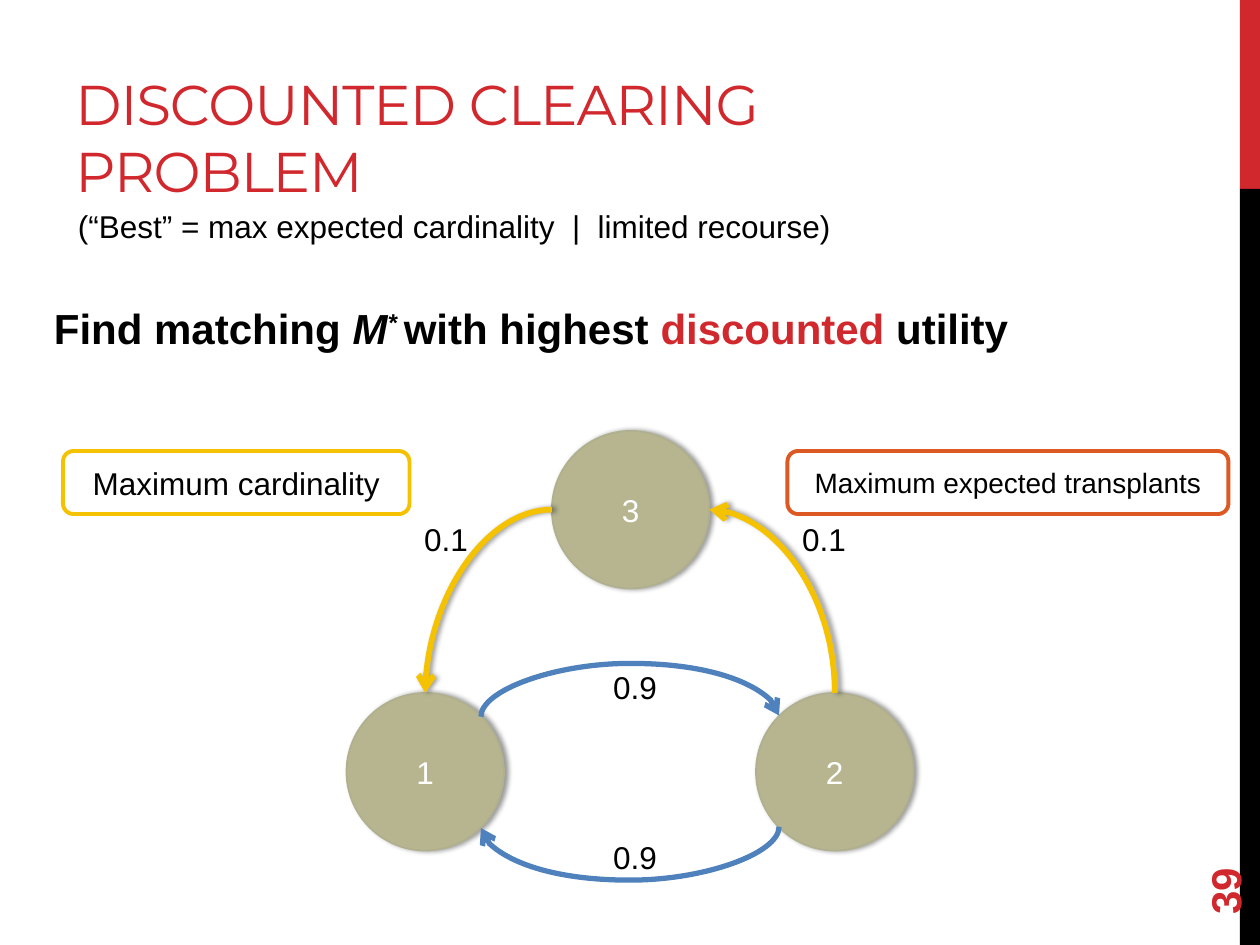
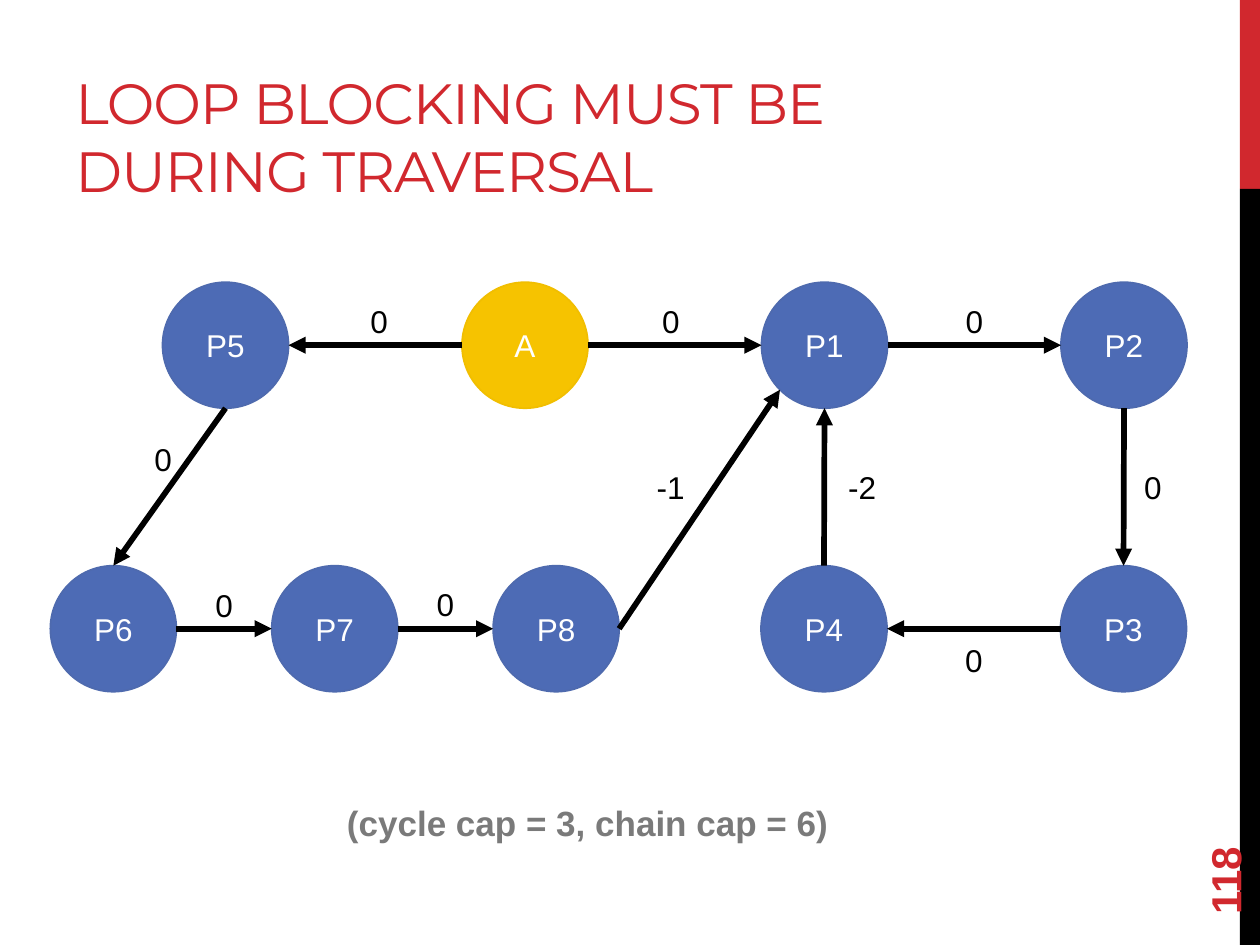
import math
from dataclasses import dataclass

from lxml import etree
from pptx import Presentation
from pptx.dml.color import RGBColor
from pptx.enum import shapes as kinds, text as styles
from pptx.oxml.ns import qn
from pptx.util import Inches, Pt


@dataclass(frozen=True)
class Theme:
    red: str = "D1282E"
    black: str = "000000"
    white: str = "FFFFFF"
    grey: str = "7A7A7A"
    gold: str = "F5C201"
    orange: str = "DC5924"
    steel: str = "4F81BD"
    olive: tuple = ("B6B590", "B1B08E")
    blue: tuple = ("4D6BB5", "4E6AAE")
    amber: tuple = ("F6C300", "F1BE00")
    heading_font: str = "Montserrat"
    body_font: str = "Arial"
    title: float = 32
    lead: float = 24
    note: float = 20
    label: float = 18
    small: float = 16


THEME = Theme()
ALIGN = styles.PP_ALIGN
ANCHOR = styles.MSO_ANCHOR
SHAPE = kinds.MSO_SHAPE
LINE = kinds.MSO_CONNECTOR
# Compass directions on a circle, in clockwise degrees from the right
SIDES = {"right": 0, "lower right": 45, "bottom": 90, "lower left": 135,
         "left": 180, "upper left": 225, "top": 270, "upper right": 315}


# ---- Text and shapes ----

def write(shape, content, size=THEME.label, color=THEME.black,
          font=THEME.body_font, bold=False, align=ALIGN.LEFT,
          anchor=ANCHOR.TOP, spacing=None):
    """Fill a shape with one paragraph: a string, or (string, changes) pairs."""
    frame = shape.text_frame
    frame.word_wrap = True
    frame.vertical_anchor = anchor
    para = frame.paragraphs[0]
    para.alignment = align
    for words, changes in [(content, {})] if isinstance(content, str) else content:
        span = para.add_run()
        span.text = words
        span.font.name = font
        span.font.size = Pt(size)
        span.font.bold = bold
        span.font.italic = changes.get("italic", False)
        span.font.color.rgb = RGBColor.from_string(changes.get("color", color))
        if spacing:
            span.font._element.set("spc", str(round(spacing * 100)))
        if "raised" in changes:
            span.font._element.set("baseline", str(changes["raised"] * 1000))


def add_text(page, box, content, **style):
    shape = page.shapes.add_textbox(*map(Inches, box))
    write(shape, content, **style)
    return shape


def add_label(page, center, content):
    width, height = 0.64, 0.4
    add_text(page, (center[0] - width / 2, center[1] - height / 2, width, height),
             content, align=ALIGN.CENTER)


def add_shape(page, kind, box, fill, line=None, weight=1):
    shape = page.shapes.add_shape(kind, *map(Inches, box))
    shape.shadow.inherit = False
    shape.fill.solid()
    shape.fill.fore_color.rgb = RGBColor.from_string(fill)
    if line:
        shape.line.color.rgb = RGBColor.from_string(line)
        shape.line.width = Pt(weight)
    else:
        shape.line.fill.background()
    return shape


def cast_shadow(effects):
    shadow = etree.SubElement(effects, qn("a:outerShdw"), blurRad=str(Pt(3.1)),
                              dist=str(Pt(1.8)), dir="0", rotWithShape="0")
    color = etree.SubElement(shadow, qn("a:srgbClr"), val=THEME.black)
    etree.SubElement(color, qn("a:alpha"), val="40000")


def add_node(page, box, name, colors, shadow=False):
    node = add_shape(page, SHAPE.OVAL, box, *colors)
    write(node, name, color=THEME.white, align=ALIGN.CENTER, anchor=ANCHOR.MIDDLE)
    if shadow:
        cast_shadow(node._element.spPr.find(qn("a:effectLst")))


def rim(box, side):
    """Point on the circle inside a square box."""
    left, top, size, _ = box
    angle = math.radians(SIDES[side])
    return (left + size / 2 * (1 + math.cos(angle)),
            top + size / 2 * (1 + math.sin(angle)))


# ---- Arrows ----

def add_arrow(page, start, end, color=THEME.black, weight=3.25,
              head="triangle", kind=LINE.STRAIGHT, shadow=False):
    arrow = page.shapes.add_connector(kind, *map(Inches, (*start, *end)))
    arrow.line.color.rgb = RGBColor.from_string(color)
    arrow.line.width = Pt(weight)
    etree.SubElement(arrow.line._get_or_add_ln(), qn("a:tailEnd"), type=head)
    effects = etree.SubElement(arrow._element.spPr, qn("a:effectLst"))
    if shadow:
        cast_shadow(effects)
    return arrow


def add_curve(page, start, end, leaving, bulge=None, **style):
    """Curve that leaves on a given side: a quarter turn, or a bow with a bulge."""
    arrow = add_arrow(page, start, end, head="arrow", kind=LINE.CURVE, **style)
    turn = math.radians(SIDES[leaving])
    across_x, across_y = end[0] - start[0], end[1] - start[1]
    forward = across_x * math.cos(turn) + across_y * math.sin(turn)
    sideways = across_y * math.cos(turn) - across_x * math.sin(turn)
    forward = max(forward, 0.01)
    width, height = forward, abs(sideways)

    # The frame is stored unrotated around the middle of the curve
    arrow.left = Inches((start[0] + end[0] - width) / 2)
    arrow.top = Inches((start[1] + end[1] - height) / 2)
    arrow.width, arrow.height = Inches(width), Inches(height)
    frame = arrow._element.spPr.find(qn("a:xfrm"))
    frame.set("rot", str(SIDES[leaving] * 60000))
    frame.set("flipH", "0")
    frame.set("flipV", "1" if sideways < 0 else "0")

    outline = arrow._element.spPr.find(qn("a:prstGeom"))
    if bulge is None:
        outline.set("prst", "curvedConnector2")
    else:
        guide = etree.SubElement(outline.find(qn("a:avLst")), qn("a:gd"), name="adj1")
        guide.set("fmla", f"val {round(bulge / forward * 100000)}")


# ---- Shared page ----

def add_page(deck, title, number, title_width, title_size=THEME.title):
    page = deck.slides.add_slide(deck.slide_layouts[6])
    # Side band
    for top, height, color in ((0, 1.5, THEME.red), (1.5, 6, THEME.black)):
        add_shape(page, SHAPE.RECTANGLE, (9.84, top, 0.16, height), color)
    # Title and page number
    add_text(page, (0.5, 0.17, title_width, 1.5), title, size=title_size,
             color=THEME.red, font=THEME.heading_font, anchor=ANCHOR.BOTTOM,
             spacing=-0.6)
    folio = add_text(page, (9, 6.44, 1.44, 0.4), number, size=THEME.lead,
                     color=THEME.red, bold=True, anchor=ANCHOR.MIDDLE)
    folio.rotation = 270
    return page


# ---- Matching slide ----

def draw_matching(page, left, top):
    size = 1.25
    nodes = {name: (left + x, top + y, size, size)
             for name, x, y in (("1", 0, 2.08), ("2", 3.25, 2.08), ("3", 1.63, 0))}
    for name, box in nodes.items():
        add_node(page, box, name, THEME.olive, shadow=True)

    # Two-way cycle between 1 and 2
    for start, side, end, end_side, leaving in (
            ("1", "upper right", "2", "upper left", "top"),
            ("2", "lower left", "1", "lower right", "bottom")):
        add_curve(page, rim(nodes[start], side), rim(nodes[end], end_side),
                  leaving, bulge=0.43, color=THEME.steel, weight=3)
    # Path through 3
    for start, side, end, end_side in (("2", "top", "3", "right"),
                                       ("3", "left", "1", "top")):
        add_curve(page, rim(nodes[start], side), rim(nodes[end], end_side),
                  side, color=THEME.gold, shadow=True)
    # Success probabilities
    for x, y, chance in ((0.79, 0.86, "0.1"), (3.79, 0.86, "0.1"),
                         (2.29, 2.03, "0.9"), (2.29, 3.38, "0.9")):
        add_label(page, (left + x, top + y), chance)


def build_matching_slide(deck):
    page = add_page(deck, "DISCOUNTED CLEARING PROBLEM", "39", 6.75)
    add_text(page, (0.52, 1.59, 7.11, 0.4),
             "(“Best” = max expected cardinality  |  limited recourse)")
    add_text(page, (0.33, 2.35, 9.33, 0.6), [
        ("Find matching ", {}),
        ("M", {"italic": True}),
        ("* ", {"italic": True, "raised": 30}),
        ("with highest ", {}),
        ("discounted ", {"color": THEME.red}),
        ("utility", {}),
    ], size=THEME.lead, bold=True)
    draw_matching(page, 2.75, 3.42)
    # Objective tags
    for left, width, color, size, words in (
            (0.5, 2.75, THEME.gold, THEME.label, "Maximum cardinality"),
            (6.25, 3.5, THEME.orange, THEME.small, "Maximum expected transplants")):
        tag = add_shape(page, SHAPE.ROUNDED_RECTANGLE, (left, 3.58, width, 0.5),
                        THEME.white, color, 2.25)
        write(tag, words, size=size, align=ALIGN.CENTER, anchor=ANCHOR.MIDDLE)


# ---- Traversal slide ----

def draw_traversal(page, left, top):
    rows = (  # first left, step, top, names
        (0.89, 2.377, 0, ("P5", "A", "P1", "P2")),
        (0, 1.757, 2.25, ("P6", "P7", "P8")),
        (5.64, 2.377, 2.25, ("P4", "P3")),
    )
    nodes = {name: (left + first + i * step, top + y, 1, 1)
             for first, step, y, names in rows for i, name in enumerate(names)}
    for name, box in nodes.items():
        add_node(page, box, name, THEME.amber if name == "A" else THEME.blue)

    # Edges, each with its weight and the weight's offset from the middle
    edges = (
        ("A", "left", "P5", "right", "0", 0.03, -0.19),
        ("P5", "bottom", "P6", "top", "0", -0.05, -0.22),
        ("P6", "right", "P7", "left", "0", 0, -0.19),
        ("P7", "right", "P8", "left", "0", 0, -0.2),
        ("P8", "right", "P1", "lower left", "-1", -0.23, -0.18),
        ("A", "right", "P1", "left", "0", -0.03, -0.19),
        ("P1", "right", "P2", "left", "0", 0, -0.19),
        ("P2", "bottom", "P3", "top", "0", 0.23, 0),
        ("P3", "left", "P4", "right", "0", 0, 0.25),
        ("P4", "top", "P1", "bottom", "-2", 0.3, 0),
    )
    for start, side, end, end_side, weight, shift_x, shift_y in edges:
        first, last = rim(nodes[start], side), rim(nodes[end], end_side)
        add_arrow(page, first, last)
        add_label(page, ((first[0] + last[0]) / 2 + shift_x,
                         (first[1] + last[1]) / 2 + shift_y), weight)


def build_traversal_slide(deck):
    page = add_page(deck, "LOOP BLOCKING MUST BE DURING TRAVERSAL", "118", 6.33, 32.4)
    draw_traversal(page, 0.4, 2.24)
    add_text(page, (0.5, 6.31, 8.33, 0.72), "(cycle cap = 3, chain cap = 6)",
             size=THEME.note, color=THEME.grey, bold=True, align=ALIGN.CENTER)


def main():
    deck = Presentation()
    deck.slide_width, deck.slide_height = Inches(10), Inches(7.5)
    build_matching_slide(deck)
    build_traversal_slide(deck)
    deck.save("out.pptx")


if __name__ == "__main__":
    main()
